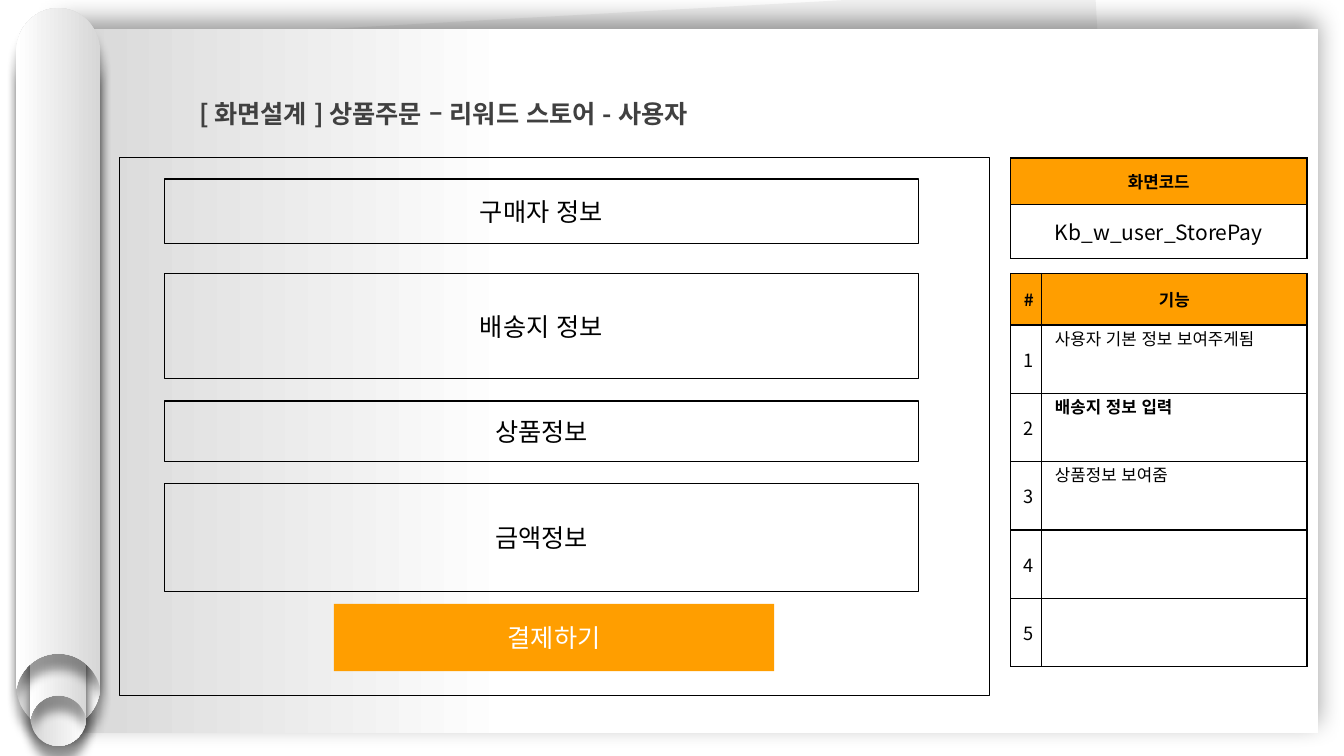
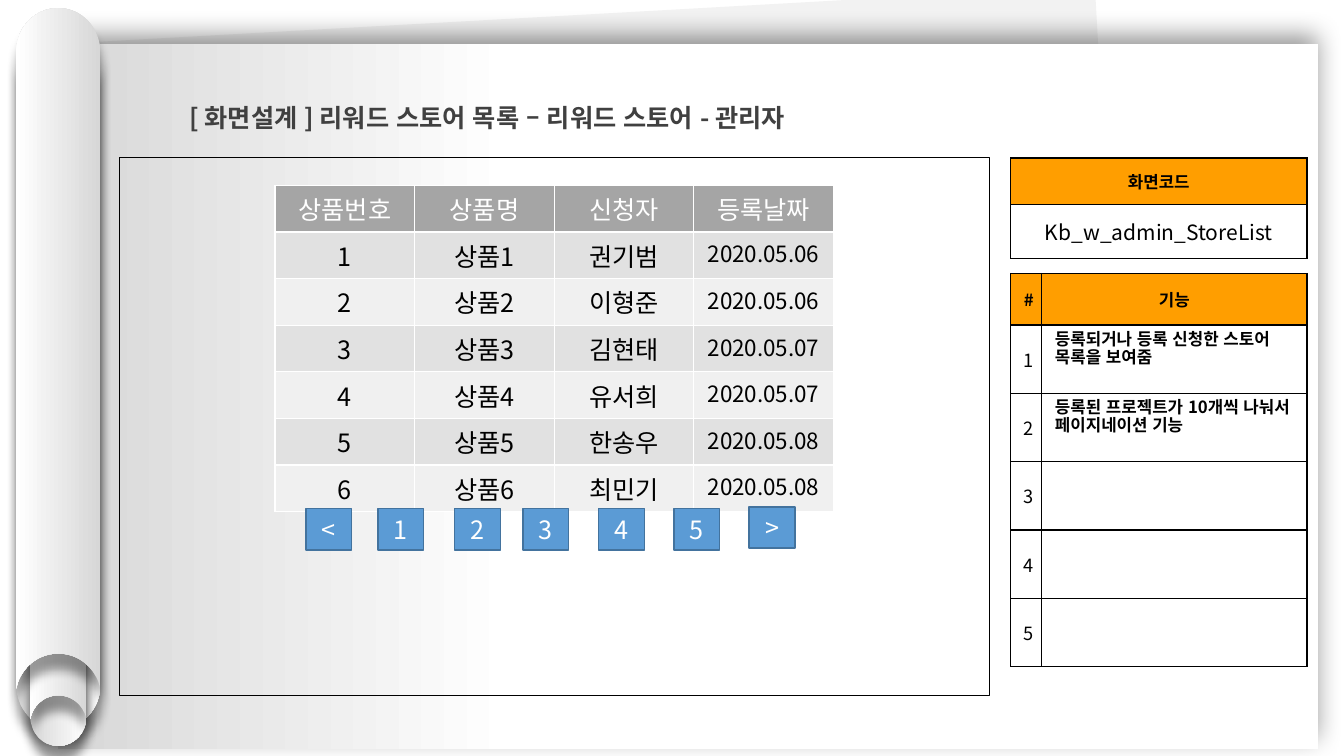
from lxml import etree
from pptx import Presentation
from pptx import util as u
from pptx.dml.color import RGBColor
from pptx.enum import lang, shapes as es, text as et
from pptx.oxml import ns

Pt = u.Pt
FONT = "Noto Sans CJK KR"
HUES = dict(black="000000", white="FFFFFF", ink="404040", pale="F2F2F2",
            shade="D7D7D7", gold="FF9E00", blue="5B9BD5", edge="43739E",
            head="A5A5A5", odd="E1E1E1", even="F0F0F0")
LEFT, MID = et.PP_ALIGN.LEFT, et.PP_ALIGN.CENTER
TOP, CORE = et.MSO_ANCHOR.TOP, et.MSO_ANCHOR.MIDDLE

PAY = dict(
    title="[ 화면설계 ] 상품주문 – 리워드 스토어 - 사용자",
    spot=(137.2, 56.5), sheet=20.9, code="Kb_w_user_StorePay",
    notes=[("사용자 기본 정보 보여주게됨", False),
           ("배송지 정보 입력", True),
           ("상품정보 보여줌", False)])
STORE = dict(
    title="[ 화면설계 ] 리워드 스토어 목록 – 리워드 스토어 - 관리자",
    spot=(130.3, 59.4), sheet=31.7, code="Kb_w_admin_StoreList",
    notes=[("등록되거나 등록 신청한 스토어 목록을 보여줌", True),
           ("등록된 프로젝트가 10개씩 나눠서 페이지네이션 기능", True)])
PARTS = [("구매자 정보", 127.8, 46), ("배송지 정보", 195.4, 75),
         ("상품정보", 286.4, 43.2), ("금액정보", 345.4, 77)]
HEADS = ["상품번호", "상품명", "신청자", "등록날짜"]
GOODS = [("권기범", "2020.05.06"), ("이형준", "2020.05.06"),
         ("김현태", "2020.05.07"), ("유서희", "2020.05.07"),
         ("한송우", "2020.05.08"), ("최민기", "2020.05.08")]
PAGES = [("<", 218.5, 363.3), ("1", 270, 363.3), ("2", 324.7, 363.3),
         ("3", 373.5, 363.3), ("4", 427.7, 363.3), ("5", 481.4, 363.3),
         (">", 535.1, 362)]
TUBES = [(11.5, 34.6, 60.2, 486, 180), (21.6, 207.4, 40.1, 325.4, 180),
         (21.6, 187.9, 40.1, 325.4, 0), (11.5, 5.8, 60.2, 486, 0)]


def tint(name):
    return RGBColor.from_string(HUES[name])


def node(par, tag, **keys):
    return etree.SubElement(par, ns.qn(tag), {k: str(v) for k, v in keys.items()})


def paint(fill, hue):
    if hue:
        fill.solid()
        fill.fore_color.rgb = tint(hue)
    else:
        fill.background()


def write(frame, words, size, hue, bold=False, align=MID, space=None):
    para = frame.paragraphs[0]
    para.alignment = align
    if space:
        para.line_spacing = space
    run = para.add_run()
    run.text = words
    font = run.font
    font.name, font.size, font.bold = FONT, Pt(size), bold
    font.color.rgb = tint(hue)
    font.language_id = lang.MSO_LANGUAGE_ID.KOREAN
    font._element.set("kern", "0")
    node(font._element, "a:ea", typeface=FONT)


def shade(shape, blur, dist, angle):
    shape.shadow.inherit = False
    glow = shape.element.spPr.find(ns.qn("a:effectLst"))
    cast = node(glow, "a:outerShdw", blurRad=Pt(blur), dist=Pt(dist),
                dir=angle * 60000, algn="ctr", rotWithShape=0)
    node(node(cast, "a:srgbClr", val=HUES["black"]), "a:alpha", val=40000)


def blend(shape, *stops):
    fill = shape.fill
    fill.gradient()
    fill.gradient_angle = 180
    for stop, (place, hue) in zip(fill.gradient_stops, stops):
        stop.position = place
        stop.color.rgb = tint(hue)
    shape.line.fill.background()


def box(slide, left, top, wide, high, fill=None, line=None, width=1, words=None, hue="black"):
    shape = slide.shapes.add_shape(es.MSO_SHAPE.RECTANGLE, Pt(left), Pt(top), Pt(wide), Pt(high))
    shape.shadow.inherit = False
    paint(shape.fill, fill)
    paint(shape.line.fill, line)
    if line:
        shape.line.width = Pt(width)
    if words:
        shape.text_frame.vertical_anchor = CORE
        write(shape.text_frame, words, 18, hue)
    return shape


def tube(group, left, top, wide, high, turn):
    half = wide / 2
    end = high / half
    steps = [[(0, 0)],
             [(0.57, 0), (1, 0.48), (1, 1.05)], [(1, end)], [(0.95, end - 0.17)],
             [(0.79, end - 0.57), (0.43, end - 0.83), (0, end - 0.83)],
             [(-0.43, end - 0.83), (-0.79, end - 0.57), (-0.95, end - 0.17)],
             [(-1, end)], [(-1, 1.05)],
             [(-1, 0.48), (-0.57, 0), (0, 0)]]
    dots = [(Pt(left + half + x * half), Pt(top + y * half))
            for x, y in (step[-1] for step in steps)]
    form = group.shapes.build_freeform(*dots[0])
    form.add_line_segments(dots[1:], close=True)
    shape = form.convert_to_shape()
    route = next(shape.element.iter(ns.qn("a:path")))
    for old in list(route):
        route.remove(old)
    for num, step in enumerate(steps):
        tag = "a:cubicBezTo" if len(step) == 3 else "a:lnTo" if num else "a:moveTo"
        part = node(route, tag)
        for x, y in step:
            node(part, "a:pt", x=Pt(half + x * half), y=Pt(y * half))
    node(route, "a:close")
    shape.rotation = turn
    blend(shape, (0, "shade"), (1, "white"))
    shade(shape, 7, 11, 90)


def grid(slide, left, top, cols, rows):
    table = slide.shapes.add_table(len(rows), len(cols), Pt(left), Pt(top),
                                   Pt(sum(cols)), Pt(sum(rows))).table
    table.first_row = table.horz_banding = False
    for col, wide in zip(table.columns, cols):
        col.width = Pt(wide)
    for row, high in zip(table.rows, rows):
        row.height = Pt(high)
    return table


def dress(cell, fill, edge, anchor=TOP, pad=(7.2, 3.6)):
    cell.vertical_anchor = anchor
    cell.margin_left = cell.margin_right = Pt(pad[0])
    cell.margin_top = cell.margin_bottom = Pt(pad[1])
    for tag in ("a:lnL", "a:lnR", "a:lnT", "a:lnB"):
        line = node(cell._tc.get_or_add_tcPr(), tag, w=Pt(1))
        node(node(line, "a:solidFill"), "a:srgbClr", val=HUES[edge])
    paint(cell.fill, fill)


def panel(slide, top, cols, rows, lines):
    table = grid(slide, 721.9, top, cols, rows)
    for r, line in enumerate(lines):
        for c, (words, size, bold, align, space) in enumerate(line):
            cell = table.cell(r, c)
            dress(cell, None if r else "gold", "black", CORE if align == MID else TOP, (9.4, 5))
            if words:
                write(cell.text_frame, words, size, "black", bold, align, space)


def base(deck, page):
    slide = deck.slides.add_slide(deck.slide_layouts[5])
    box(slide, 65.5, 10.1, 730.8, 489.6, "pale").rotation = 356.8
    sheet = box(slide, 41.8, page["sheet"], 899.6, 503)
    blend(sheet, (0.64, "white"), (1, "shade"))
    shade(sheet, 18, 6, 270)
    group = slide.shapes.add_group_shape()
    for item in TUBES:
        tube(group, *item)

    def head(words):
        return words, 12, True, MID, None

    panel(slide, 112.8, [211.7], [33.4, 38.6],
          [[head("화면코드")], [(page["code"], 15, False, MID, None)]])
    box(slide, 85.3, 112.8, 621.4, 383.8, line="black", width=0.75)
    notes = page["notes"] + [("", False)] * (5 - len(page["notes"]))
    lines = [[head("#"), head("기능")]]
    for num, (words, bold) in enumerate(notes, 1):
        lines.append([(str(num), 13, False, MID, None), (words, 12, bold, LEFT, Pt(13))])
    panel(slide, 195.3, [22.3, 189.4], [36.9] + [48.8] * 5, lines)

    title = slide.shapes.title
    title.left, title.top = map(Pt, page["spot"])
    title.width, title.height = Pt(519), Pt(35.3)
    frame = title.text_frame
    frame.word_wrap, frame.auto_size = True, et.MSO_AUTO_SIZE.NONE
    frame.vertical_anchor = TOP
    frame.margin_left = frame.margin_right = Pt(5)
    frame.margin_top = frame.margin_bottom = Pt(2.9)
    write(frame, page["title"], 18, "ink", True, LEFT, 1.5)
    slide.shapes.element.append(title.element)
    return slide


def main():
    deck = Presentation()
    deck.slide_width, deck.slide_height = Pt(960), Pt(540)

    slide = base(deck, PAY)
    for words, top, high in PARTS:
        box(slide, 117.4, top, 538.6, high, line="black", words=words)
    box(slide, 238.5, 431.3, 314.6, 48.2, "gold", words="결제하기", hue="white")

    slide = base(deck, STORE)
    rows = [HEADS] + [(str(n), f"상품{n}", *item) for n, item in enumerate(GOODS, 1)]
    table = grid(slide, 196.5, 132.4, [99.7] * 4, [33.2] * len(rows))
    for r, row in enumerate(rows):
        fill = ("odd" if r % 2 else "even") if r else "head"
        for c, words in enumerate(row):
            dress(table.cell(r, c), fill, "white")
            write(table.cell(r, c).text_frame, words, 16 if r and c == 3 else 18,
                  "black" if r else "white")
    for words, left, top in PAGES:
        box(slide, left, top, 32.7, 29.5, "blue", "edge", words=words, hue="white")

    deck.save("out.pptx")


if __name__ == "__main__":
    main()
